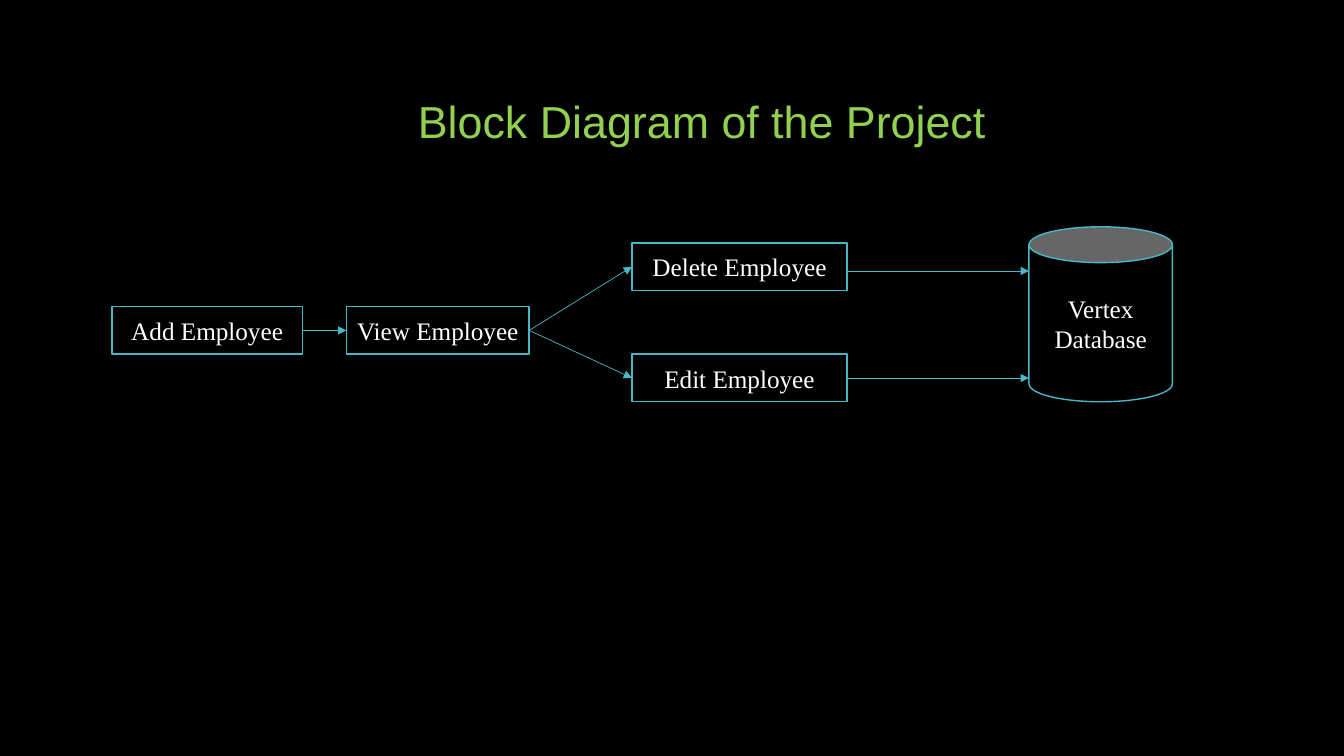
"""Build the block diagram slide of the employee project."""
import pptx
import pptx.util
import pptx.dml.color
import pptx.enum.shapes
import pptx.enum.text
import pptx.oxml.ns
from lxml import etree

Pt = pptx.util.Pt
RGB = pptx.dml.color.RGBColor
KIND = pptx.enum.shapes.MSO_SHAPE
MIDDLE = pptx.enum.text.MSO_ANCHOR.MIDDLE
CENTER = pptx.enum.text.PP_ALIGN.CENTER
qn = pptx.oxml.ns.qn

BLACK = RGB(0x00, 0x00, 0x00)
WHITE = RGB(0xFF, 0xFF, 0xFF)
GREEN = RGB(0x92, 0xD0, 0x50)
TEAL = RGB(0x47, 0xB8, 0xC7)

deck = pptx.Presentation()
deck.slide_width, deck.slide_height = Pt(960), Pt(540)
slide = deck.slides.add_slide(deck.slide_layouts[5])
slide.background.fill.solid()
slide.background.fill.fore_color.rgb = BLACK


def write(frame, text, font, size, color):
    frame.text = text
    frame.vertical_anchor = MIDDLE
    for para in frame.paragraphs:
        para.alignment = CENTER
        para.font.name = font
        para.font.size = Pt(size)
        para.font.color.rgb = color


title = slide.shapes.title
title.left, title.top, title.width, title.height = Pt(271.5), Pt(62), Pt(460), Pt(48)
write(title.text_frame, "Block Diagram of the Project", "Arial", 32, GREEN)

blocks = [
    (KIND.RECTANGLE, "Add Employee", 80, 219, 136, 34),
    (KIND.RECTANGLE, "View Employee", 247.5, 219, 130.5, 34),
    (KIND.RECTANGLE, "Delete Employee", 451.5, 173.5, 153.5, 34),
    (KIND.RECTANGLE, "Edit Employee", 451.5, 253, 153.5, 34),
    (KIND.CAN, "Vertex\nDatabase", 735, 162, 102.5, 125),
]
for kind, text, left, top, width, height in blocks:
    block = slide.shapes.add_shape(kind, Pt(left), Pt(top), Pt(width), Pt(height))
    block.shadow.inherit = False
    block.fill.solid()
    block.fill.fore_color.rgb = BLACK
    block.line.color.rgb = TEAL
    block.line.width = Pt(1)
    write(block.text_frame, text, "Times New Roman", 18, WHITE)
    block.text_frame.word_wrap = False

arrows = [
    (216, 236, 247.5, 236),
    (378, 236, 451.5, 190.5),
    (378, 236, 451.5, 270),
    (605, 193.5, 735, 193.5),
    (605, 270, 735, 270),
]
for ends in arrows:
    arrow = slide.shapes.add_connector(
        pptx.enum.shapes.MSO_CONNECTOR.STRAIGHT, *map(Pt, ends))
    arrow.line.color.rgb = TEAL
    arrow.line.width = Pt(0.5)
    etree.SubElement(arrow.line._get_or_add_ln(), qn("a:tailEnd"), type="triangle")
    etree.SubElement(arrow._element.spPr, qn("a:effectLst"))

deck.save("out.pptx")
